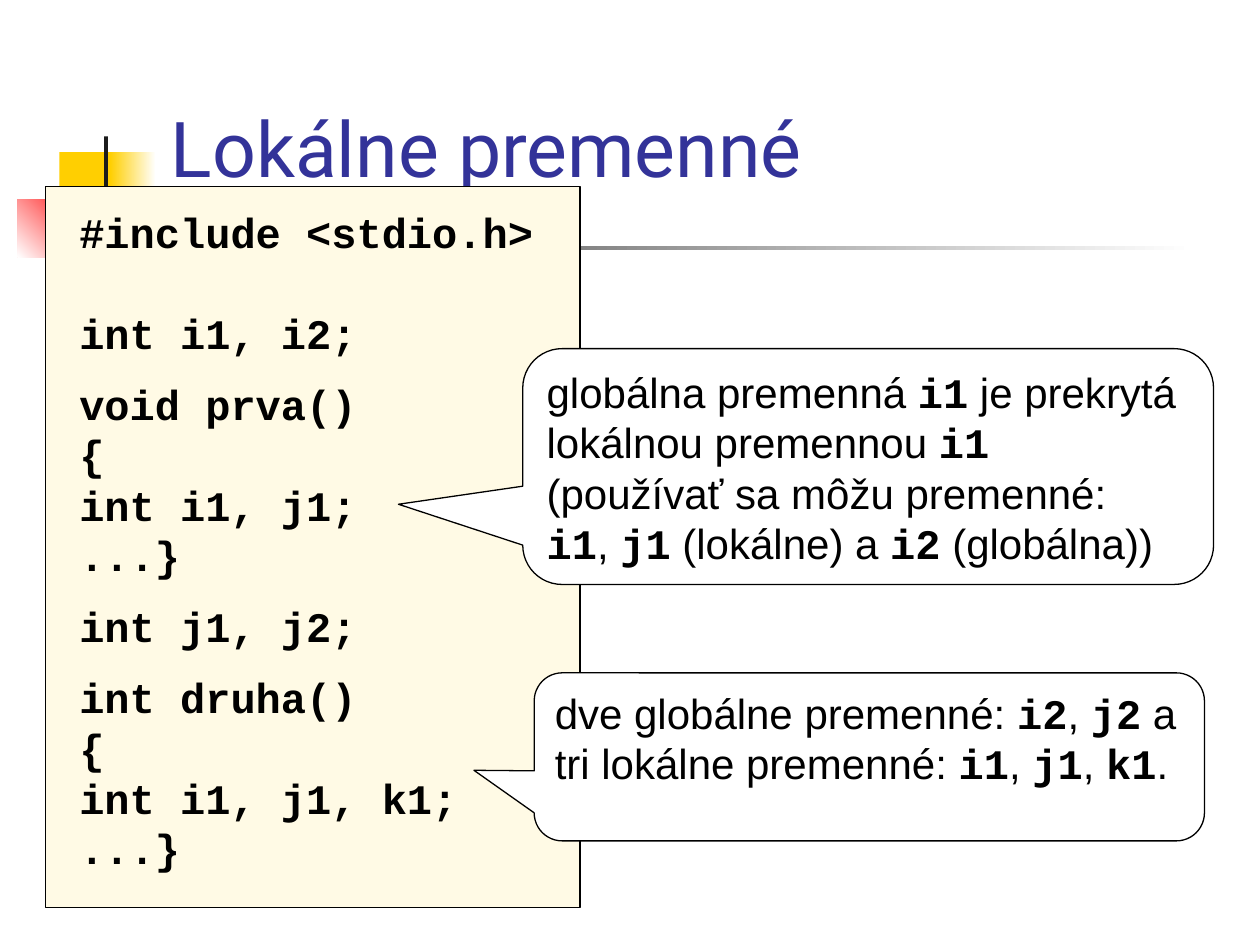
from dataclasses import dataclass

from pptx import Presentation
from pptx.dml.color import RGBColor
from pptx.enum.shapes import MSO_SHAPE
from pptx.enum.text import MSO_ANCHOR, PP_ALIGN
from pptx.util import Pt

RECT = MSO_SHAPE.RECTANGLE
CALLOUT = MSO_SHAPE.ROUNDED_RECTANGULAR_CALLOUT
TOP, BOTTOM = MSO_ANCHOR.TOP, MSO_ANCHOR.BOTTOM
LEFT = PP_ALIGN.LEFT


@dataclass(frozen=True)
class Theme:
    black: str = "000000"
    white: str = "FFFFFF"
    ink: str = "1C1C1C"
    yellow: str = "FFCF01"
    red: str = "FF0000"
    title: str = "333399"
    cream: str = "FFFAE5"
    title_font: str = "Roboto"
    body_font: str = "Arial"
    code_font: str = "Courier New"
    title_size: float = 44
    body_size: float = 24
    code_pitch: float = 28.8
    outline: float = 0.75


THEME = Theme()

# Each block: space before it in points, then its lines.
CODE_BLOCKS = [
    (0, ["#include <stdio.h>"]),
    (28.8, ["int i1, i2;"]),
    (11.8, ["void prva()", "{", "int i1, j1;", "...}"]),
    (11.8, ["int j1, j2;"]),
    (11.8, ["int druha()", "{", "int i1, j1, k1;", "...}"]),
]

# Backticks enclose identifiers.
SHADOWING_NOTE = [
    "globálna premenná `i1` je prekrytá lokálnou premennou `i1`",
    "(používať sa môžu premenné:",
    "`i1`, `j1` (lokálne) a `i2` (globálna))",
]
SCOPE_NOTE = [
    "dve globálne premenné: `i2`, `j2` a tri lokálne premenné: `i1`, `j1`, `k1`."
]


def rgb(color):
    return RGBColor.from_string(color)


def add_panel(slide, box, fill, outlined=False, kind=RECT):
    panel = slide.shapes.add_shape(kind, *map(Pt, box))
    panel.shadow.inherit = False
    panel.fill.solid()
    panel.fill.fore_color.rgb = rgb(fill)
    if outlined:
        panel.line.color.rgb = rgb(THEME.black)
        panel.line.width = Pt(THEME.outline)
    else:
        panel.line.fill.background()
    return panel


def add_fade(slide, box, start, end, angle):
    fill = add_panel(slide, box, start).fill
    fill.gradient()
    fill.gradient_angle = angle
    for stop, color, position in zip(fill.gradient_stops, (start, end), (0, 1)):
        stop.color.rgb = rgb(color)
        stop.position = position


def add_run(paragraph, text, font, size, color, bold=False):
    run = paragraph.add_run()
    run.text = text
    run.font.name = font
    run.font.size = Pt(size)
    run.font.bold = bold
    run.font.color.rgb = rgb(color)


def add_code_run(paragraph, text):
    add_run(paragraph, text, THEME.code_font, THEME.body_size, THEME.black, True)


def paragraphs(frame, count):
    """Return count left-aligned paragraphs of an empty frame."""
    result = [frame.paragraphs[0]]
    result += [frame.add_paragraph() for _ in range(count - 1)]
    for paragraph in result:
        paragraph.alignment = LEFT
    return result


def add_ornament(slide, box):
    """Coloured blocks and fading rule behind the title."""
    x, y, width, height = box
    add_panel(slide, (x + 24, y + 9, 34.5, 37.5), THEME.yellow)
    add_fade(slide, (x + 53, y + 9, 26, 37.5), THEME.white, THEME.yellow, 180)
    add_fade(slide, (x, y + 36, 44, 33), THEME.red, THEME.white, 225)
    add_panel(slide, (x + 49.5, y, 2.25, height), THEME.ink)
    add_fade(slide, (x + 24.5, y + 62.5, width - 24.5, 2.25),
             THEME.white, THEME.ink, 180)


def add_title(slide, box, text):
    frame = slide.shapes.add_textbox(*map(Pt, box)).text_frame
    frame.word_wrap = True
    frame.vertical_anchor = BOTTOM
    add_run(paragraphs(frame, 1)[0], text, THEME.title_font,
            THEME.title_size, THEME.title)


def add_listing(slide, box, blocks):
    x, y, width, height = box
    add_panel(slide, box, THEME.cream, outlined=True)
    frame = slide.shapes.add_textbox(
        Pt(x + 12.25), Pt(y + 8), Pt(width - 31.5), Pt(height - 23)).text_frame
    frame.word_wrap = False
    lines = [(gap if i == 0 else 0, line)
             for gap, block in blocks for i, line in enumerate(block)]
    for paragraph, (gap, line) in zip(paragraphs(frame, len(lines)), lines):
        paragraph.space_before = Pt(gap)
        paragraph.line_spacing = Pt(THEME.code_pitch)
        add_code_run(paragraph, line)


def add_note(slide, box, tip, lines):
    """Callout whose tip is an offset from its centre, as shares of its size."""
    note = add_panel(slide, box, THEME.white, outlined=True, kind=CALLOUT)
    note.adjustments[0], note.adjustments[1] = tip
    frame = note.text_frame
    frame.word_wrap = True
    frame.vertical_anchor = TOP
    for paragraph, line in zip(paragraphs(frame, len(lines)), lines):
        for i, text in enumerate(line.split("`")):
            if not text:
                continue
            if i % 2:
                add_code_run(paragraph, text)
            else:
                add_run(paragraph, text, THEME.body_font,
                        THEME.body_size, THEME.black)


def main():
    deck = Presentation()
    deck.slide_width, deck.slide_height = Pt(720), Pt(540)
    slide = deck.slides.add_slide(deck.slide_layouts[6])
    add_ornament(slide, (10, 78, 672.5, 83))
    add_title(slide, (90.5, 48, 613.5, 65.5), "Lokálne premenné")
    add_listing(slide, (26, 106.5, 305.5, 412), CODE_BLOCKS)
    add_note(slide, (298.75, 199.25, 394.75, 134.75), (-0.68, 0.16), SHADOWING_NOTE)
    add_note(slide, (305.25, 384.5, 383, 96), (-0.59, 0.08), SCOPE_NOTE)
    deck.save("out.pptx")


if __name__ == "__main__":
    main()
